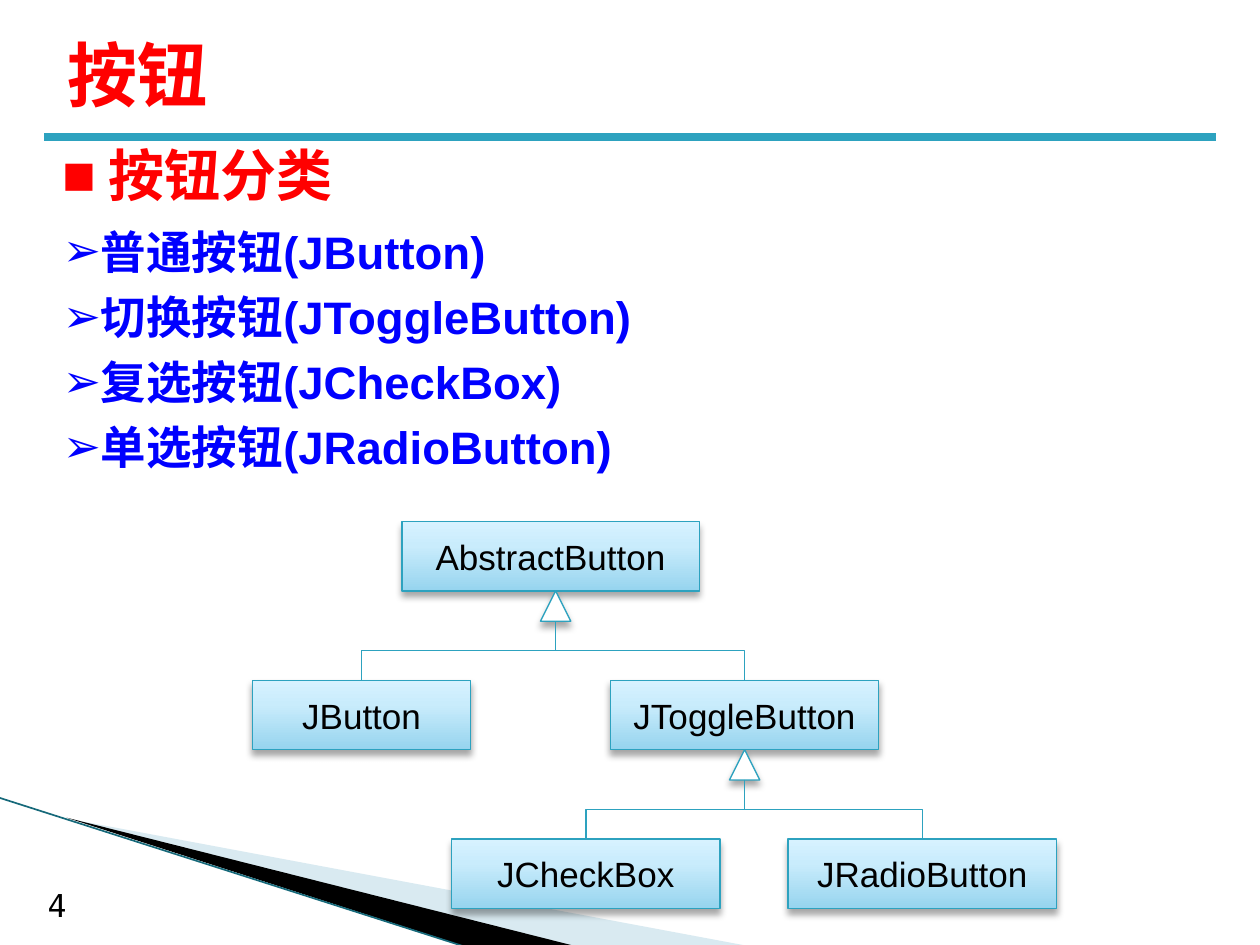
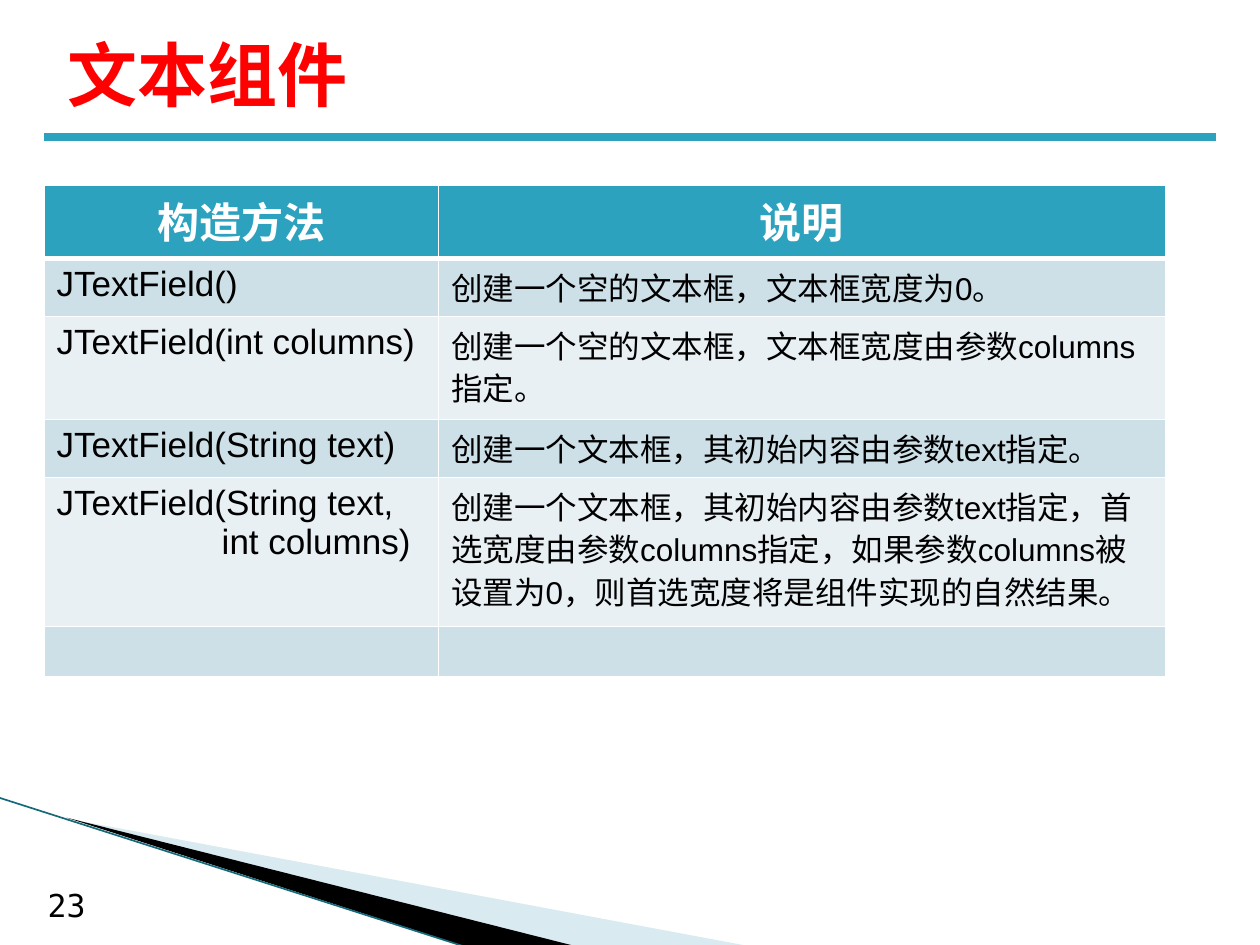
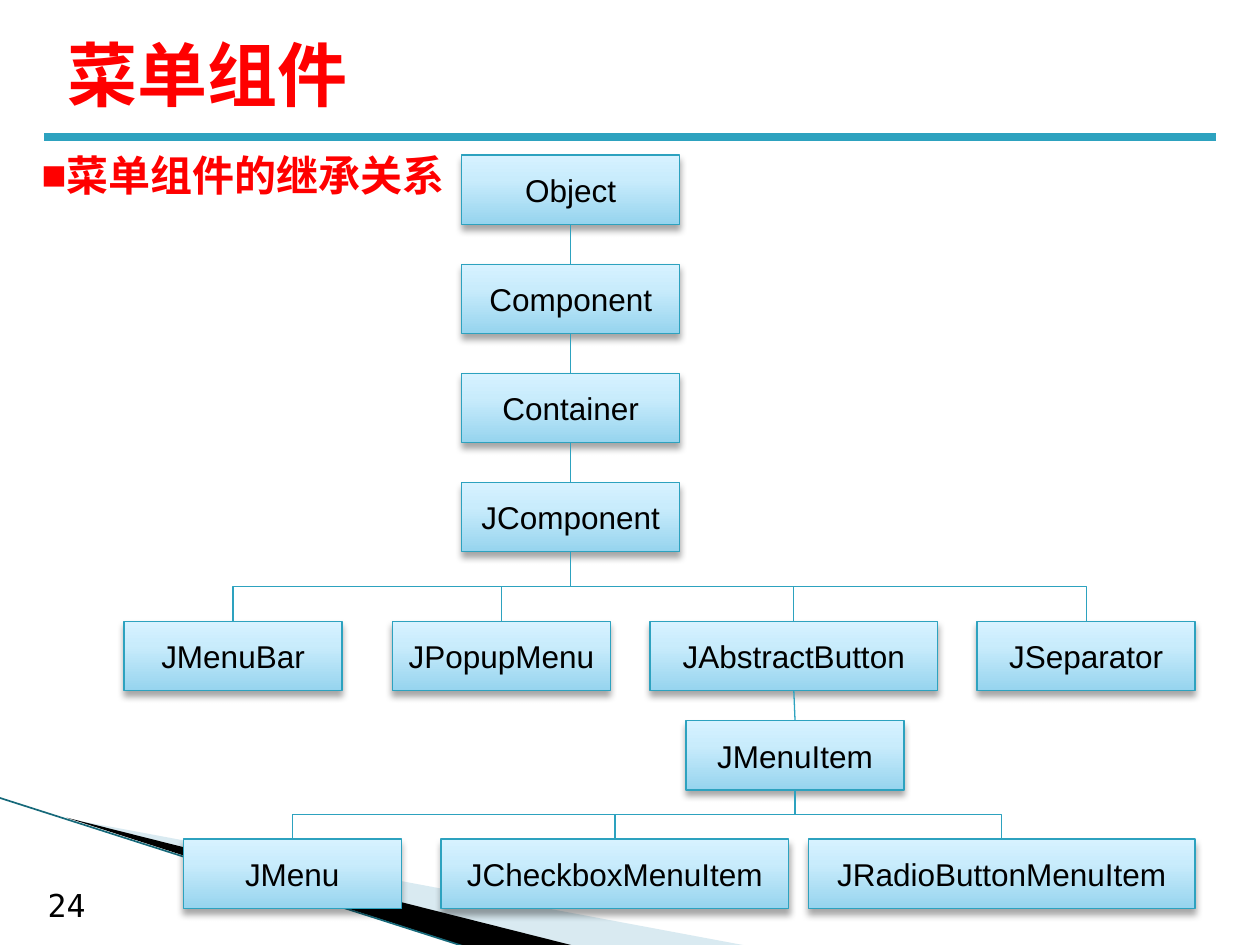
import dataclasses

import lxml.etree
import pptx
import pptx.dml.color
import pptx.enum.shapes
import pptx.enum.text
import pptx.oxml.ns
import pptx.util

qn = pptx.oxml.ns.qn
Pt = pptx.util.Pt
SHAPE = pptx.enum.shapes.MSO_SHAPE
CONNECTOR = pptx.enum.shapes.MSO_CONNECTOR
ALIGN = pptx.enum.text.PP_ALIGN
MIDDLE = pptx.enum.text.MSO_ANCHOR.MIDDLE

# The slide is a grid of square cells.
COLUMNS, ROWS = 10, 7.5
CELL = pptx.util.Inches(1)


@dataclasses.dataclass(frozen=True)
class Theme:
    body_font: str = "Arial"
    title_font: str = "DejaVu Sans Mono"
    heading: str = "FF0000"
    item: str = "0000FF"
    ink: str = "000000"
    paper: str = "FFFFFF"
    accent: str = "2DA2BF"
    wedge: str = "A0CBDC"
    wedge_edge: str = "16697A"
    bands: tuple = ("CDE0E8", "E8F0F4")
    box_gradient: tuple = ((0, "96D4EE"), (65, "C9ECFC"), (100, "D7F2FF"))
    title_size: int = 40
    topic_size: int = 32
    item_size: int = 26
    header_size: int = 24
    code_size: int = 20
    note_size: int = 18
    hairline: float = 0.75


THEME = Theme()
BOX_HEIGHT = 0.55
BOX_WIDTH = 1.73
ARROW = 0.24


def cells(*lengths):
    return [pptx.util.Emu(round(length * CELL)) for length in lengths]


def rgb(value):
    return pptx.dml.color.RGBColor.from_string(value)


def child(parent, tag, **attributes):
    node = lxml.etree.SubElement(parent, qn(tag))
    for key, value in attributes.items():
        node.set(key, str(value))
    return node


def add_run(paragraph, text, size, color, font=THEME.body_font, bold=False):
    run = paragraph.add_run()
    run.text = text
    run.font.size = Pt(size)
    run.font.bold = bold
    run.font.name = font
    run.font.color.rgb = rgb(color)
    properties = run.font._element
    properties.set("lang", "zh-CN")
    child(properties, "a:ea", typeface=font)


def add_bullet(paragraph, mark, indent):
    properties = paragraph._p.get_or_add_pPr()
    hang = cells(indent)[0]
    properties.set("marL", str(hang))
    properties.set("indent", str(-hang))
    child(properties, "a:buFont", typeface=THEME.body_font)
    child(properties, "a:buChar", char=mark)


def add_text_frame(slide, left, top, width, height):
    frame = slide.shapes.add_textbox(*cells(left, top, width, height)).text_frame
    frame.word_wrap = True
    return frame


def style_line(line, color, width):
    line.color.rgb = rgb(color)
    line.width = Pt(width)


def add_line(slide, start, end, color=THEME.accent, width=THEME.hairline,
             kind=CONNECTOR.STRAIGHT):
    line = slide.shapes.add_connector(kind, *cells(*start, *end))
    style_line(line.line, color, width)
    child(line._element.spPr, "a:effectLst")
    return line


def add_wedge(slide, corners, color, opacity=100):
    (start, *others) = [cells(*corner) for corner in corners]
    builder = slide.shapes.build_freeform(*start)
    builder.add_line_segments(others, close=True)
    wedge = builder.convert_to_shape()
    wedge.shadow.inherit = False
    wedge.fill.solid()
    wedge.fill.fore_color.rgb = rgb(color)
    wedge.line.fill.background()
    fill_color = wedge._element.spPr.find(qn("a:solidFill"))[0]
    child(fill_color, "a:alpha", val=opacity * 1000)


def add_slide(deck, title, number):
    """Start a slide with the corner wedge, rule, page number and title."""
    slide = deck.slides.add_slide(deck.slide_layouts[6])
    add_wedge(slide, [(0.55, 6.5), (5.95, 7.51), (4.56, 7.51)], THEME.wedge, 40)
    add_wedge(slide, [(0.53, 6.49), (4.57, 7.51), (3.72, 7.52)], THEME.ink)
    add_line(slide, (-0.01, 6.33), (3.71, 7.52), THEME.wedge_edge, 0.95)
    add_line(slide, (0.35, 1.09), (COLUMNS - 0.35, 1.09), width=4.5)

    page = add_text_frame(slide, 0.28, 6.98, 0.55, 0.4)
    add_run(page.paragraphs[0], str(number), THEME.note_size, THEME.ink,
            THEME.title_font)
    heading = add_text_frame(slide, 0.44, 0.16, 9, 0.85)
    heading.vertical_anchor = MIDDLE
    add_run(heading.paragraphs[0], title, THEME.title_size, THEME.heading,
            THEME.title_font, bold=True)
    return slide


def add_topic_list(slide, topic, items):
    frame = add_text_frame(slide, 0.4, 1.07, 9.29, 2.77)
    lines = [(topic, "■", 0.36, THEME.topic_size, THEME.heading, 6)]
    lines += [(item, "➢", 0.3, THEME.item_size, THEME.item, 3) for item in items]
    for index, (text, mark, indent, size, color, gap) in enumerate(lines):
        paragraph = frame.add_paragraph() if index else frame.paragraphs[0]
        paragraph.space_before = paragraph.space_after = Pt(gap)
        add_bullet(paragraph, mark, indent)
        add_run(paragraph, text, size, color, bold=True)


def drop_shadow(shape):
    shape.shadow.inherit = False
    effects = shape._element.spPr.find(qn("a:effectLst"))
    shadow = child(effects, "a:outerShdw", blurRad=Pt(4), dist=Pt(3),
                   dir=90 * 60000, rotWithShape=0)
    color = child(shadow, "a:srgbClr", val=THEME.ink)
    child(color, "a:alpha", val=35000)


def add_class(slide, name, center, top, width=BOX_WIDTH, size=THEME.note_size):
    """Draw a class box around the given centre column."""
    box = slide.shapes.add_shape(
        SHAPE.RECTANGLE, *cells(center - width / 2, top, width, BOX_HEIGHT))
    box.fill.gradient()
    box.fill.gradient_angle = 90
    stops = box._element.spPr.find(".//" + qn("a:gsLst"))
    stops.clear()
    for position, color in THEME.box_gradient:
        stop = child(stops, "a:gs", pos=position * 1000)
        child(stop, "a:srgbClr", val=color)
    style_line(box.line, THEME.accent, THEME.hairline)
    drop_shadow(box)
    frame = box.text_frame
    frame.word_wrap = True
    frame.vertical_anchor = MIDDLE
    frame.paragraphs[0].alignment = ALIGN.CENTER
    add_run(frame.paragraphs[0], name, size, THEME.ink)
    return box


def bottom_middle(box):
    return (box.left + box.width / 2) / CELL, (box.top + box.height) / CELL


def add_branches(slide, start, children):
    """Lead an elbow from start down to the top of each child."""
    x, y = start
    for box in children:
        run = (box.left + box.width / 2) / CELL - x
        drop = box.top / CELL - y
        # The elbow is laid out sideways and then turned about its middle.
        middle_x, middle_y = x + run / 2, y + drop / 2
        reach = abs(run) / 2
        elbow = add_line(slide, (middle_x - drop / 2, middle_y - reach),
                         (middle_x + drop / 2, middle_y + reach),
                         kind=CONNECTOR.ELBOW)
        frame = elbow._element.spPr.find(qn("a:xfrm"))
        frame.set("rot", str((90 if run < 0 else 270) * 60000))
        if run > 0:
            frame.set("flipH", "1")


def add_generalization(slide, parent, children, shift=0):
    """Point a hollow arrowhead at the parent and branch to its subclasses."""
    x, y = bottom_middle(parent)
    x += shift
    head = slide.shapes.add_shape(SHAPE.ISOSCELES_TRIANGLE,
                                  *cells(x - ARROW / 2, y, ARROW, ARROW))
    head.fill.solid()
    head.fill.fore_color.rgb = rgb(THEME.paper)
    style_line(head.line, THEME.accent, THEME.hairline)
    drop_shadow(head)
    add_branches(slide, (x, y + ARROW), children)


def join_down(slide, parent, heir):
    link = add_line(slide, (0, 0), (1, 1))
    link.begin_connect(parent, 2)
    link.end_connect(heir, 0)


def style_cell(cell, color, bottom_width=1):
    properties = cell._tc.get_or_add_tcPr()
    for side, width in (("L", 1), ("R", 1), ("T", 1), ("B", bottom_width)):
        border = child(properties, "a:ln" + side, w=Pt(width))
        child(child(border, "a:solidFill"), "a:srgbClr", val=THEME.paper)
    cell.fill.solid()
    cell.fill.fore_color.rgb = rgb(color)


def add_method_table(slide, header, methods, widths, heights):
    """Each method is (signature lines, description)."""
    table = slide.shapes.add_table(
        len(heights), len(widths),
        *cells(0.35, 1.47, sum(widths), sum(heights))).table
    table.first_row = table.horz_banding = False
    for column, width in zip(table.columns, cells(*widths)):
        column.width = width
    for row, height in zip(table.rows, cells(*heights)):
        row.height = height

    for cell, label in zip(table.rows[0].cells, header):
        style_cell(cell, THEME.accent, bottom_width=3)
        paragraph = cell.text_frame.paragraphs[0]
        paragraph.alignment = ALIGN.CENTER
        paragraph.line_spacing = 1.2
        add_run(paragraph, label, THEME.header_size, THEME.paper, bold=True)

    for index, (signature, description) in enumerate(methods):
        signature_cell, description_cell = table.rows[index + 1].cells
        for cell in (signature_cell, description_cell):
            style_cell(cell, THEME.bands[index % 2])
        for number, line in enumerate(signature):
            frame = signature_cell.text_frame
            paragraph = frame.add_paragraph() if number else frame.paragraphs[0]
            if number:
                paragraph._p.get_or_add_pPr().set("marL", str(cells(1.31)[0]))
            add_run(paragraph, line, THEME.code_size, THEME.ink)
        if description:
            paragraph = description_cell.text_frame.paragraphs[0]
            paragraph.line_spacing = 1.2
            add_run(paragraph, description, THEME.note_size, THEME.ink)


def build_buttons(deck):
    slide = add_slide(deck, "按钮", 4)
    add_topic_list(slide, "按钮分类", [
        "普通按钮(JButton)", "切换按钮(JToggleButton)",
        "复选按钮(JCheckBox)", "单选按钮(JRadioButton)"])

    levels = [4.14 + 1.26 * level for level in range(3)]
    abstract, button, toggle, check, radio = [
        add_class(slide, name, center, levels[level], width, THEME.code_size)
        for name, center, level, width in (
            ("AbstractButton", 4.37, 0, 2.36),
            ("JButton", 2.87, 1, BOX_WIDTH),
            ("JToggleButton", 5.91, 1, 2.13),
            ("JCheckBox", 4.65, 2, 2.13),
            ("JRadioButton", 7.32, 2, 2.13))]
    add_generalization(slide, abstract, [button, toggle], shift=0.04)
    add_generalization(slide, toggle, [check, radio])


def build_text_components(deck):
    slide = add_slide(deck, "文本组件", 23)
    add_method_table(
        slide, ("构造方法", "说明"),
        [(["JTextField()"], "创建一个空的文本框，文本框宽度为0。"),
         (["JTextField(int columns)"],
          "创建一个空的文本框，文本框宽度由参数columns指定。"),
         (["JTextField(String text)"],
          "创建一个文本框，其初始内容由参数text指定。"),
         (["JTextField(String text,", "int columns)"],
          "创建一个文本框，其初始内容由参数text指定，首选宽度由参数columns指定，"
          "如果参数columns被设置为0，则首选宽度将是组件实现的自然结果。"),
         ([], "")],
        widths=(3.13, 5.77), heights=(0.58, 0.46, 0.82, 0.46, 1.18, 0.4))


def build_menu_components(deck):
    slide = add_slide(deck, "菜单组件", 24)
    ancestors = [
        add_class(slide, name, 4.53, 1.23 + level * 2.6 / 3)
        for level, name in enumerate(
            ("Object", "Component", "Container", "JComponent"))]
    components = [
        add_class(slide, name, center, 4.93, width)
        for name, center, width in (
            ("JMenuBar", 1.85, BOX_WIDTH), ("JPopupMenu", 3.98, BOX_WIDTH),
            ("JAbstractButton", 6.3, 2.28), ("JSeparator", 8.62, BOX_WIDTH))]
    menu_item = add_class(slide, "JMenuItem", 6.31, 5.72)
    items = [
        add_class(slide, name, center, 6.66, width)
        for name, center, width in (
            ("JMenu", 2.32, BOX_WIDTH), ("JCheckboxMenuItem", 4.88, 2.76),
            ("JRadioButtonMenuItem", 7.95, 3.07))]

    for parent, heir in zip(ancestors, ancestors[1:]):
        join_down(slide, parent, heir)
    add_branches(slide, bottom_middle(ancestors[-1]), components)
    join_down(slide, components[2], menu_item)
    add_branches(slide, bottom_middle(menu_item), items)

    topic = add_text_frame(slide, 0.23, 1.14, 4.22, 0.5).paragraphs[0]
    add_bullet(topic, "■", 0.2)
    add_run(topic, "菜单组件的继承关系", THEME.header_size, THEME.heading,
            THEME.title_font, bold=True)


def main():
    deck = pptx.Presentation()
    deck.slide_width, deck.slide_height = cells(COLUMNS, ROWS)
    build_buttons(deck)
    build_text_components(deck)
    build_menu_components(deck)
    deck.save("out.pptx")


if __name__ == "__main__":
    main()
